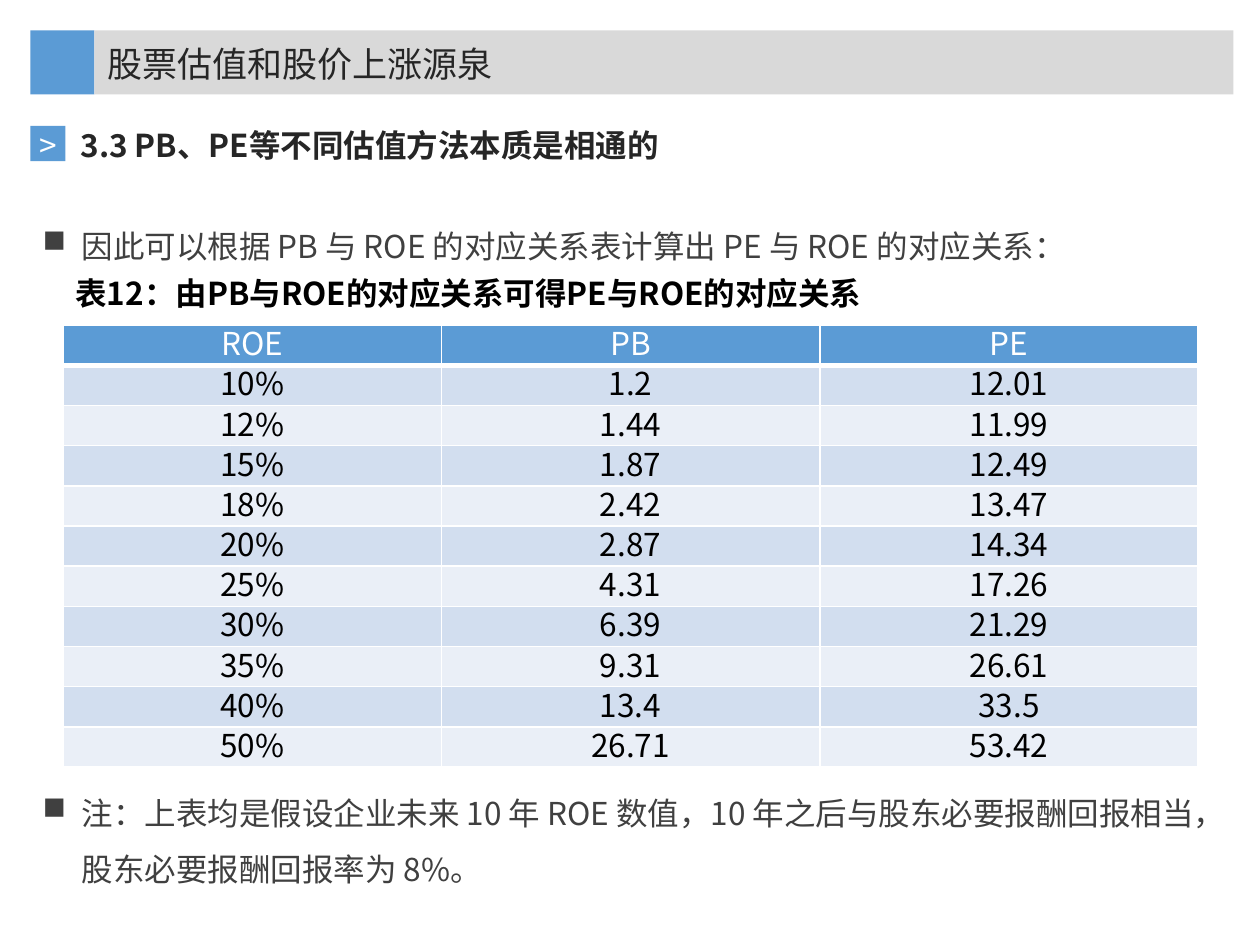
from dataclasses import dataclass

from lxml import etree
from pptx import Presentation
from pptx import util as u
from pptx.dml.color import RGBColor
from pptx.enum import shapes, text
from pptx.oxml.ns import qn


@dataclass(frozen=True)
class Theme:
    """Colours, font and type sizes of the slide."""
    font: str = "Noto Sans CJK SC"
    accent: str = "5B9BD5"
    bar: str = "D9D9D9"
    heading: str = "262626"
    body: str = "404040"
    black: str = "000000"
    white: str = "FFFFFF"
    bands: tuple = ("EAEFF7", "D2DEEF")
    title_pt: int = 20
    text_pt: int = 18
    leading: float = 1.25
    body_leading: float = 1.8


T = Theme()
WIDTH, HEIGHT = u.Inches(10), u.Inches(7.5)

TITLE = "股票估值和股价上涨源泉"
SECTION = "3.3 PB、PE等不同估值方法本质是相通的"
POINT = "因此可以根据 PB 与 ROE 的对应关系表计算出 PE 与 ROE 的对应关系："
NOTE = ("注：上表均是假设企业未来 10 年 ROE 数值，10 年之后与股东必要报酬回报相当，"
        "股东必要报酬回报率为 8%。")
CAPTION = "表12：由PB与ROE的对应关系可得PE与ROE的对应关系"
ROWS = [
    ("ROE", "PB", "PE"),
    ("10%", "1.2", "12.01"),
    ("12%", "1.44", "11.99"),
    ("15%", "1.87", "12.49"),
    ("18%", "2.42", "13.47"),
    ("20%", "2.87", "14.34"),
    ("25%", "4.31", "17.26"),
    ("30%", "6.39", "21.29"),
    ("35%", "9.31", "26.61"),
    ("40%", "13.4", "33.5"),
    ("50%", "26.71", "53.42"),
]


def box(left, top, width, height):
    """Turn percentages of the slide into a left, top, width, height tuple."""
    return tuple(int(share * side / 100) for share, side in
                 zip((left, top, width, height), (WIDTH, HEIGHT) * 2))


def style(p, color, size=T.text_pt, bold=False, align=text.PP_ALIGN.LEFT,
          leading=T.leading):
    """Format a whole paragraph, including its East Asian font."""
    p.alignment = align
    p.line_spacing = u.Pt(size * leading)
    p.space_before = u.Pt(0)
    p.font.size, p.font.bold = u.Pt(size), bold
    p.font.color.rgb = RGBColor.from_string(color)
    p.font.name = T.font
    props = p._p.get_or_add_pPr().find(qn("a:defRPr"))
    etree.SubElement(props, qn("a:ea"), typeface=T.font)


def add_bullet(p):
    """Give a paragraph a square bullet with a hanging indent."""
    props = p._p.get_or_add_pPr()
    props.set("marL", str(u.Inches(0.31)))
    props.set("indent", str(-u.Inches(0.31)))
    bullet = etree.Element(qn("a:buChar"), char="■")
    props.find(qn("a:defRPr")).addprevious(bullet)


def add_rect(slide, place, color, label=None):
    """Add a plain rectangle, with a centred label if one is given."""
    sp = slide.shapes.add_shape(shapes.MSO_SHAPE.RECTANGLE, *place)
    sp.shadow.inherit = False
    sp.fill.solid()
    sp.fill.fore_color.rgb = RGBColor.from_string(color)
    sp.line.fill.background()
    if label:
        tf = sp.text_frame
        tf.margin_left = tf.margin_right = tf.margin_top = tf.margin_bottom = 0
        tf.vertical_anchor = text.MSO_ANCHOR.MIDDLE
        tf.text = label
        style(tf.paragraphs[0], T.white, align=text.PP_ALIGN.CENTER)


def add_text(slide, place, lines):
    """Add a wrapping text box and return its paragraphs."""
    tf = slide.shapes.add_textbox(*place).text_frame
    tf.word_wrap = True
    tf.text = "\n".join(lines)
    return tf.paragraphs


def set_title(slide, place):
    """Place and format the title in front of its bar."""
    sp = slide.shapes.title
    sp.left, sp.top, sp.width, sp.height = place
    tf = sp.text_frame
    tf.text = TITLE
    tf.vertical_anchor = text.MSO_ANCHOR.TOP
    tf.auto_size = text.MSO_AUTO_SIZE.NONE
    style(tf.paragraphs[0], T.heading, T.title_pt)
    sp.element.getparent().append(sp.element)


def set_borders(cell, top, bottom):
    """Draw white cell borders; top and bottom widths are in points."""
    props = cell._tc.get_or_add_tcPr()
    for side, width in zip("LRTB", (1, 1, top, bottom)):
        line = etree.SubElement(props, qn(f"a:ln{side}"), w=str(u.Pt(width)))
        fill = etree.SubElement(line, qn("a:solidFill"))
        etree.SubElement(fill, qn("a:srgbClr"), val=T.white)


def add_table(slide, place):
    """Add the ROE, PB and PE table with a header and banded rows."""
    table = slide.shapes.add_table(len(ROWS), len(ROWS[0]), *place).table
    for row in table.rows:
        row.height = place[3] // len(ROWS)
    for i, values in enumerate(ROWS):
        for j, value in enumerate(values):
            cell = table.cell(i, j)
            cell.margin_left = cell.margin_right = u.Inches(0.01)
            cell.margin_top, cell.margin_bottom = u.Inches(0.01), 0
            cell.vertical_anchor = text.MSO_ANCHOR.MIDDLE
            set_borders(cell, 3 if i == 1 else 1, 3 if i == 0 else 1)
            cell.fill.solid()
            color = T.bands[i % 2] if i else T.accent
            cell.fill.fore_color.rgb = RGBColor.from_string(color)
            cell.text = value
            style(cell.text_frame.paragraphs[0], T.black if i else T.white,
                  align=text.PP_ALIGN.CENTER, leading=1.2)


def add_points(slide, place):
    """Add the bulleted statement and the note below the table."""
    point, note = add_text(slide, place, [POINT, NOTE])
    for p in (point, note):
        style(p, T.body, leading=T.body_leading)
        add_bullet(p)
    note.space_before = u.Pt(9 * T.text_pt * T.body_leading)


def main():
    """Build the slide and save it."""
    prs = Presentation()
    prs.slide_width, prs.slide_height = WIDTH, HEIGHT
    slide = prs.slides.add_slide(prs.slide_layouts[5])

    section, = add_text(slide, box(5.4, 12.53, 63.9, 5.33), [SECTION])
    style(section, T.heading, bold=True)
    add_rect(slide, box(2.4, 13.33, 2.8, 3.73), T.accent, ">")
    add_rect(slide, box(2.4, 3.2, 5.1, 6.8), T.accent)
    add_rect(slide, box(7.5, 3.2, 90.4, 6.8), T.bar)
    set_title(slide, box(7.5, 3.6, 67.2, 5.87))
    add_points(slide, box(2.4, 21.33, 95.5, 74))
    caption, = add_text(slide, box(5, 28.13, 92.9, 5.33), [CAPTION])
    style(caption, T.black, bold=True)
    add_table(slide, box(5, 34.4, 90.1, 46.8))

    prs.save("out.pptx")


main()
